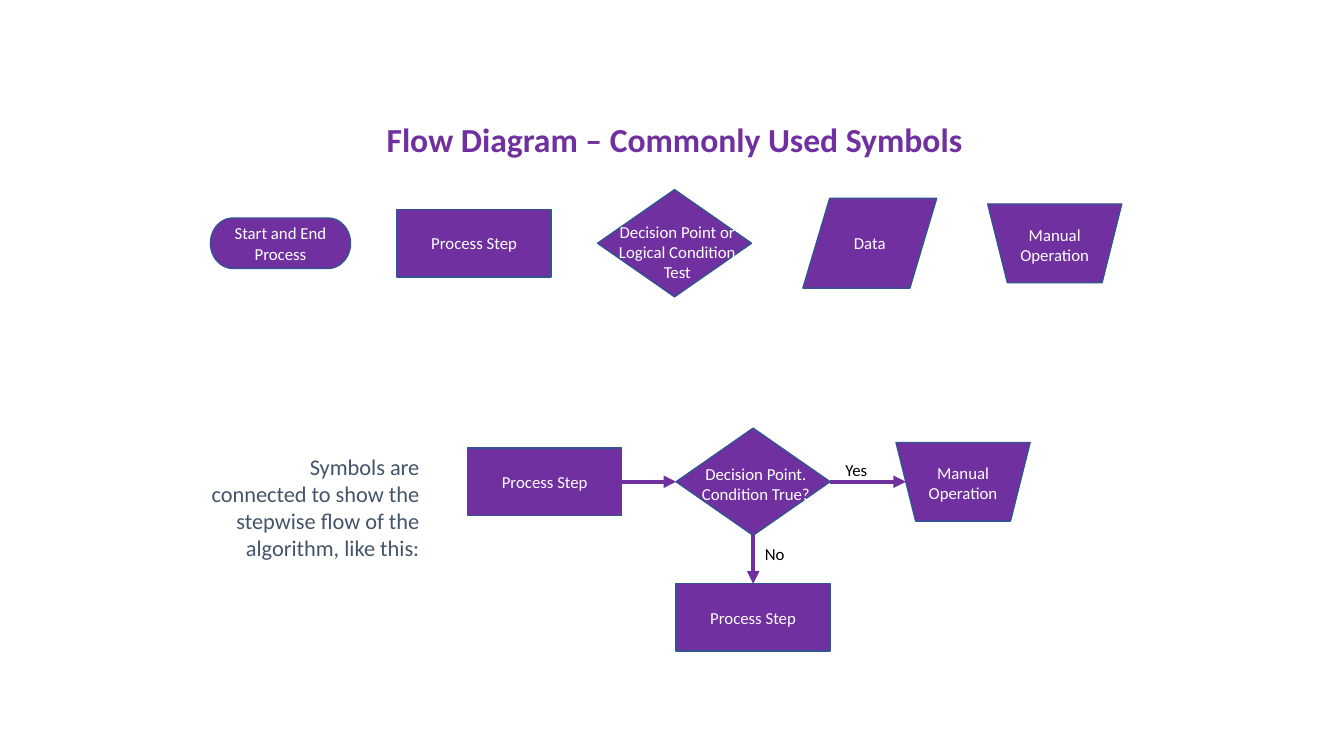
import dataclasses
import typing

import pptx
import pptx.dml.color
import pptx.enum.shapes
import pptx.enum.text
import pptx.oxml
import pptx.oxml.ns
import pptx.util

Cm = pptx.util.Cm
Pt = pptx.util.Pt
Color = pptx.dml.color.RGBColor
Form = pptx.enum.shapes.MSO_SHAPE
Align = pptx.enum.text.PP_ALIGN
Anchor = pptx.enum.text.MSO_ANCHOR


@dataclasses.dataclass(frozen=True)
class Theme:
    font: str = "Calibri"
    main: Color = Color.from_string("7030A0")
    edge: Color = Color.from_string("325491")
    light: Color = Color.from_string("FFFFFF")
    dark: Color = Color.from_string("000000")
    slate: Color = Color.from_string("44546A")
    head: int = 24
    body: int = 16
    small: int = 12
    thin: int = 1
    thick: int = 3


class Kind(typing.NamedTuple):
    form: Form
    width: float
    height: float
    turn: int = 0


class Symbol(typing.NamedTuple):
    kind: Kind
    x: float
    y: float
    text: str = ""


class Label(typing.NamedTuple):
    text: str
    x: float
    y: float
    width: float
    height: float
    color: Color
    size: int
    align: Align = Align.CENTER
    bold: bool = False
    anchor: Anchor = Anchor.TOP
    space: float = 1.0


class Arrow(typing.NamedTuple):
    x1: float
    y1: float
    x2: float
    y2: float


THEME = Theme()
START = Kind(Form.FLOWCHART_TERMINATOR, 3.53, 1.27)
STEP = Kind(Form.FLOWCHART_PROCESS, 3.88, 1.7)
TEST = Kind(Form.FLOWCHART_DECISION, 3.88, 2.7)
DATA = Kind(Form.FLOWCHART_DATA, 3.37, 2.26)
MANUAL = Kind(Form.TRAPEZOID, 3.38, 1.98, 180)

TOP, FLOW, LOW = 6.13, 12.14, 15.56
FIRST, MID, LAST = 13.73, 18.98, 24.27

SYMBOLS = [
    Symbol(START, 7.07, TOP, "Start and End Process"),
    Symbol(STEP, 11.95, TOP, "Process Step"),
    Symbol(TEST, 17.0, TOP),
    Symbol(DATA, 21.92, TOP, "Data"),
    Symbol(MANUAL, 26.58, TOP),
    Symbol(STEP, FIRST, FLOW, "Process Step"),
    Symbol(TEST, MID, FLOW),
    Symbol(MANUAL, LAST, FLOW),
    Symbol(STEP, MID, LOW, "Process Step"),
]

ARROWS = [
    Arrow(FIRST + STEP.width / 2, FLOW, MID - TEST.width / 2, FLOW),
    Arrow(MID + TEST.width / 2, FLOW, LAST - 1.44, FLOW),
    Arrow(MID, FLOW + TEST.height / 2, MID, LOW - STEP.height / 2),
]

LABELS = [
    Label("Flow Diagram – Commonly Used Symbols", 17.0, 3.58, 20, 1.17,
          THEME.main, THEME.head, bold=True, anchor=Anchor.MIDDLE, space=0.9),
    Label("Symbols are connected to show the stepwise flow of the algorithm, like this:",
          7.95, 13.14, 5.74, 3.68, THEME.slate, THEME.body, Align.RIGHT),
    Label("Manual Operation", 26.58, 6.17, 3.38, 1.28, THEME.light, THEME.small),
    Label("Manual Operation", LAST, 12.18, 3.38, 1.28, THEME.light, THEME.small),
    Label("Decision Point or Logical Condition Test", 17.07, 6.36, 3.88, 1.8,
          THEME.light, THEME.small),
    Label("Decision Point. Condition True?", 19.05, 12.19, 3.88, 1.28,
          THEME.light, THEME.small),
    Label("Yes", 21.73, 11.84, 1.35, 0.77, THEME.dark, THEME.small, Align.LEFT),
    Label("No", 19.56, 13.95, 1.07, 0.77, THEME.dark, THEME.small, Align.LEFT),
]


def add_text(frame, text: str, color: Color, size: int, align: Align,
             anchor: Anchor, bold: bool = False, space: float = 1.0) -> None:
    frame.word_wrap = True
    frame.vertical_anchor = anchor
    line = frame.paragraphs[0]
    line.alignment = align
    line.line_spacing = space
    run = line.add_run()
    run.text = text
    run.font.name = THEME.font
    run.font.size = Pt(size)
    run.font.bold = bold
    run.font.color.rgb = color


def add_symbol(slide, item: Symbol) -> None:
    kind = item.kind
    shape = slide.shapes.add_shape(
        kind.form, Cm(item.x - kind.width / 2), Cm(item.y - kind.height / 2),
        Cm(kind.width), Cm(kind.height))
    shape.rotation = kind.turn
    shape.shadow.inherit = False
    shape.fill.solid()
    shape.fill.fore_color.rgb = THEME.main
    shape.line.color.rgb = THEME.edge
    shape.line.width = Pt(THEME.thin)
    if item.text:
        add_text(shape.text_frame, item.text, THEME.light, THEME.small,
                 Align.CENTER, Anchor.MIDDLE)


def add_label(slide, item: Label) -> None:
    box = slide.shapes.add_textbox(
        Cm(item.x - item.width / 2), Cm(item.y - item.height / 2),
        Cm(item.width), Cm(item.height))
    add_text(box.text_frame, item.text, item.color, item.size, item.align,
             item.anchor, item.bold, item.space)


def add_arrow(slide, item: Arrow) -> None:
    link = slide.shapes.add_connector(
        pptx.enum.shapes.MSO_CONNECTOR.STRAIGHT,
        Cm(item.x1), Cm(item.y1), Cm(item.x2), Cm(item.y2))
    link.line.color.rgb = THEME.main
    link.line.width = Pt(THEME.thick)
    space = pptx.oxml.ns.nsdecls("a")
    tip = pptx.oxml.parse_xml(f'<a:tailEnd {space} type="triangle"/>')
    link.line._get_or_add_ln().append(tip)
    link._element.spPr.append(pptx.oxml.parse_xml(f"<a:effectLst {space}/>"))


def main() -> None:
    deck = pptx.Presentation()
    deck.slide_width = Cm(33.87)
    deck.slide_height = Cm(19.05)
    slide = deck.slides.add_slide(deck.slide_layouts[6])
    for symbol in SYMBOLS:
        add_symbol(slide, symbol)
    for arrow in ARROWS:
        add_arrow(slide, arrow)
    for label in LABELS:
        add_label(slide, label)
    deck.save("out.pptx")


if __name__ == "__main__":
    main()
